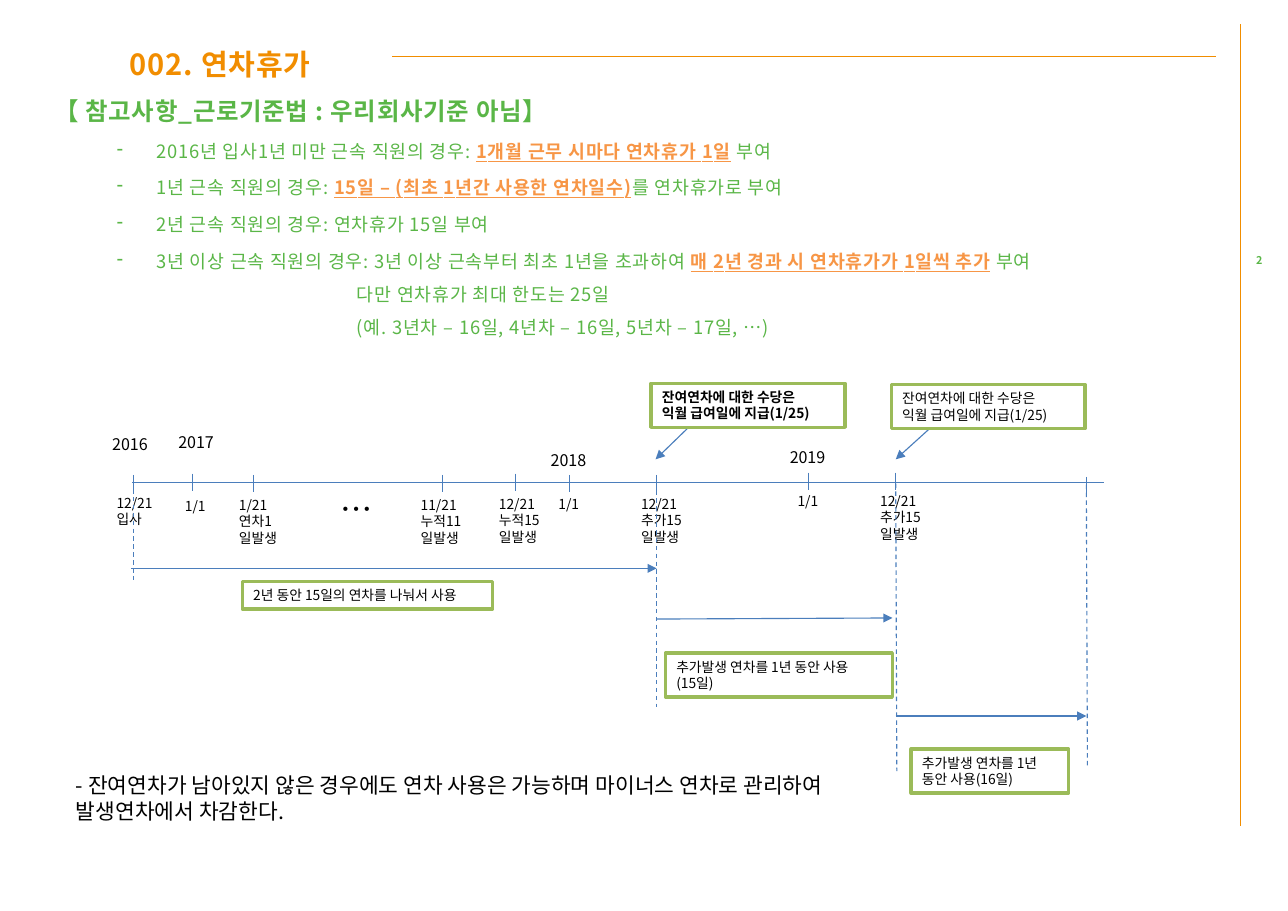
import pptx
import pptx.util
import pptx.dml.color
import pptx.enum.dml
import pptx.enum.shapes
import pptx.enum.text
import pptx.oxml
import pptx.oxml.ns
from lxml import etree

Inches = pptx.util.Inches
Pt = pptx.util.Pt
qn = pptx.oxml.ns.qn

FONT = "Noto Sans CJK KR"
COLORS = {"orange": "F18D00", "green": "5AB647", "accent": "F79646", "black": "000000",
          "blue": "4B7EBC", "frame": "9BBB59", "white": "FFFFFF"}
FORMATS = {
    "title": {"size": 19, "bold": True, "color": "orange", "tracking": 50},
    "heading": {"size": 16, "bold": True, "color": "green", "tracking": 50},
    "rule": {"size": 12, "bold": False, "color": "green", "tracking": 50},
    "stress": {"size": 12, "bold": True, "underline": True, "color": "accent", "tracking": 50},
    "page": {"size": 7, "bold": True, "color": "green"},
    "year": {"size": 10.5, "color": "black"},
    "note": {"size": 9, "color": "black"},
    "bold note": {"size": 9, "bold": True, "color": "black"},
    "ellipsis": {"size": 21, "color": "black"},
    "remark": {"size": 14, "color": "black"},
}

# Each rule alternates plain and stressed wording.
LEAVE_RULES = [
    ["2016년 입사1년 미만 근속 직원의 경우: ", "1개월 근무 시마다 연차휴가 1일", " 부여"],
    ["1년 근속 직원의 경우: ", "15일 – (최초 1년간 사용한 연차일수)", "를 연차휴가로 부여"],
    ["2년 근속 직원의 경우: 연차휴가 15일 부여"],
    ["3년 이상 근속 직원의 경우: 3년 이상 근속부터 최초 1년을 초과하여 ",
     "매 2년 경과 시 연차휴가가 1일씩 추가", " 부여"],
]
LIMIT_NOTES = ["다만 연차휴가 최대 한도는 25일",
               "(예. 3년차 – 16일, 4년차 – 16일, 5년차 – 17일, …)"]

TICKS = [(1.21, 4.31), (1.75, 4.3), (2.3, 4.31), (4.02, 4.31), (4.68, 4.3), (5.17, 4.31),
         (5.96, 4.32), (7.34, 4.29), (8.13, 4.29), (9.86, 4.33)]
YEARS = [("2016", 0.92, 3.89), ("2017", 1.52, 3.88), ("2018", 4.9, 4.04), ("2019", 7.07, 4.01)]
DATES = [
    (0.96, 4.44, 0.56, ["12/21", "입사"]),
    (1.58, 4.47, 0.45, ["1/1"]),
    (2.07, 4.46, 0.68, ["1/21", "연차1일발생"]),
    (3.72, 4.46, 0.75, ["11/21", "누적11일발생"]),
    (4.43, 4.45, 0.75, ["12/21", "누적15일발생"]),
    (4.97, 4.45, 0.45, ["1/1"]),
    (5.72, 4.45, 0.75, ["12/21", "추가15일발생"]),
    (7.14, 4.42, 0.45, ["1/1"]),
    (7.89, 4.42, 0.75, ["12/21", "추가15일발생"]),
]
PERIOD_ENDS = [(1.21, 4.44, 1.21, 5.28), (5.96, 4.31, 5.96, 6.42),
               (8.13, 4.39, 8.14, 7), (9.86, 4.4, 9.87, 6.96)]
ARROWS = [(1.19, 5.16, 5.96, 5.16), (5.96, 5.62, 8.1, 5.61), (8.13, 6.5, 9.86, 6.5),
          (6.26, 3.87, 5.95, 4.17), (8.45, 3.88, 8.13, 4.17)]
PAYOUT = ["잔여연차에 대한 수당은", "익월 급여일에 지급(1/25)"]
FRAMES = [
    ((2.2, 5.28, 2.27, 0.25), ["2년 동안 15일의 연차를 나눠서 사용"], "note"),
    ((6.04, 5.93, 2.06, 0.4), ["추가발생 연차를 1년 동안 사용", "(15일)"], "note"),
    ((8.27, 6.8, 1.43, 0.4), ["추가발생 연차를 1년", "동안 사용(16일)"], "note"),
    ((5.91, 3.48, 1.76, 0.4), PAYOUT, "bold note"),
    ((8.09, 3.49, 1.76, 0.4), PAYOUT, "note"),
]


def rgb(name):
    return pptx.dml.color.RGBColor.from_string(COLORS[name])


def add_run(paragraph, text, style):
    run = paragraph.add_run()
    run.text = text
    run.font.name = FONT
    for key, value in FORMATS[style].items():
        if key == "color":
            run.font.color.rgb = rgb(value)
        elif key == "tracking":
            run.font._element.set("spc", str(value))
        else:
            setattr(run.font, key, Pt(value) if key == "size" else value)
    etree.SubElement(run.font._element, qn("a:ea")).set("typeface", FONT)


def write_lines(frame, lines, style, margins=(0.1, 0.05)):
    """Fill a text frame with one paragraph per line."""
    across, down = (Inches(margin) for margin in margins)
    settings = {"word_wrap": True, "margin_left": across, "margin_right": across,
                "margin_top": down, "margin_bottom": down,
                "vertical_anchor": pptx.enum.text.MSO_ANCHOR.TOP}
    for key, value in settings.items():
        setattr(frame, key, value)
    for index, line in enumerate(lines):
        paragraph = frame.add_paragraph() if index else frame.paragraphs[0]
        paragraph.alignment = pptx.enum.text.PP_ALIGN.LEFT
        paragraph.line_spacing = Pt(FORMATS[style]["size"] * 1.2)
        add_run(paragraph, line, style)


def add_text(slide, place, lines, style, **options):
    box = slide.shapes.add_textbox(*map(Inches, place))
    write_lines(box.text_frame, lines, style, **options)
    return box.text_frame


def add_frame(slide, place, lines, style):
    frame = slide.shapes.add_shape(pptx.enum.shapes.MSO_SHAPE.RECTANGLE, *map(Inches, place))
    frame.shadow.inherit = False
    frame.fill.solid()
    frame.fill.fore_color.rgb = rgb("white")
    frame.line.color.rgb = rgb("frame")
    frame.line.width = Pt(2.25)
    write_lines(frame.text_frame, lines, style)


def add_line(slide, ends, color="blue", width=0.75, dashed=False, arrow=False):
    line = slide.shapes.add_connector(pptx.enum.shapes.MSO_CONNECTOR.STRAIGHT, *map(Inches, ends))
    line.line.color.rgb = rgb(color)
    line.line.width = Pt(width)
    if dashed:
        line.line.dash_style = pptx.enum.dml.MSO_LINE.DASH
    if arrow:
        etree.SubElement(line.line._get_or_add_ln(), qn("a:tailEnd")).set("type", "triangle")
    etree.SubElement(line._element.spPr, qn("a:effectLst"))


def indent(paragraph, left, first=0.0):
    properties = paragraph._p.get_or_add_pPr()
    properties.set("marL", str(Inches(left)))
    properties.set("indent", str(Inches(first)))
    return properties


def add_leave_rules(slide):
    body = add_text(slide, (0.49, 0.87, 10.55, 2.74),
                    ["【 참고사항_근로기준법 : 우리회사기준 아님】"], "heading", margins=(0, 0))
    indent(body.paragraphs[0], 0.43, -0.43)
    for parts in LEAVE_RULES:
        rule = body.add_paragraph()
        rule.line_spacing = Pt(21.6)
        rule.space_before = Pt(2.4)
        bullet = etree.SubElement(indent(rule, 0.93, -0.36), qn("a:buChar"))
        bullet.set("char", "-")
        for index, part in enumerate(parts):
            add_run(rule, part, "stress" if index % 2 else "rule")
    for note in LIMIT_NOTES:
        limit = body.add_paragraph()
        limit.line_spacing = Pt(21.6)
        indent(limit, 2.75)
        add_run(limit, note, "rule")


def add_timeline(slide):
    add_line(slide, (1.2, 4.38, 10.02, 4.38))
    for x, top in TICKS:
        add_line(slide, (x, top, x, top + 0.16))
    for year, left, top in YEARS:
        add_text(slide, (left, top, 0.55, 0.28), [year], "year")
    for left, top, width, lines in DATES:
        add_text(slide, (left, top, width, 0.1 + 0.15 * len(lines)), lines, "note")
    add_text(slide, (2.99, 4.39, 0.5, 0.45), ["…"], "ellipsis")
    for ends in PERIOD_ENDS:
        add_line(slide, ends, dashed=True)
    for ends in ARROWS:
        add_line(slide, ends, arrow=True)
    for place, lines, style in FRAMES:
        add_frame(slide, place, lines, style)


def main():
    deck = pptx.Presentation()
    deck.slide_width, deck.slide_height = Inches(11.69), Inches(8.27)
    slide = deck.slides.add_slide(deck.slide_layouts[6])
    for ends in [(11.26, 0.22, 11.26, 7.5), (3.56, 0.51, 11.04, 0.51)]:
        add_line(slide, ends, "orange", 0.3)
    page = add_text(slide, (11.26, 2.3, 0.34, 0.36), ["2"], "page", margins=(0, 0))
    page.paragraphs[0].alignment = pptx.enum.text.PP_ALIGN.CENTER
    add_text(slide, (1.18, 0.42, 2.4, 0.72), ["002. 연차휴가"], "title", margins=(0, 0))
    add_leave_rules(slide)
    add_timeline(slide)
    add_text(slide, (0.59, 6.96, 7, 0.57),
             ["- 잔여연차가 남아있지 않은 경우에도 연차 사용은 가능하며 마이너스 연차로 "
              "관리하여 발생연차에서 차감한다."], "remark")
    deck.save("out.pptx")


if __name__ == "__main__":
    main()
